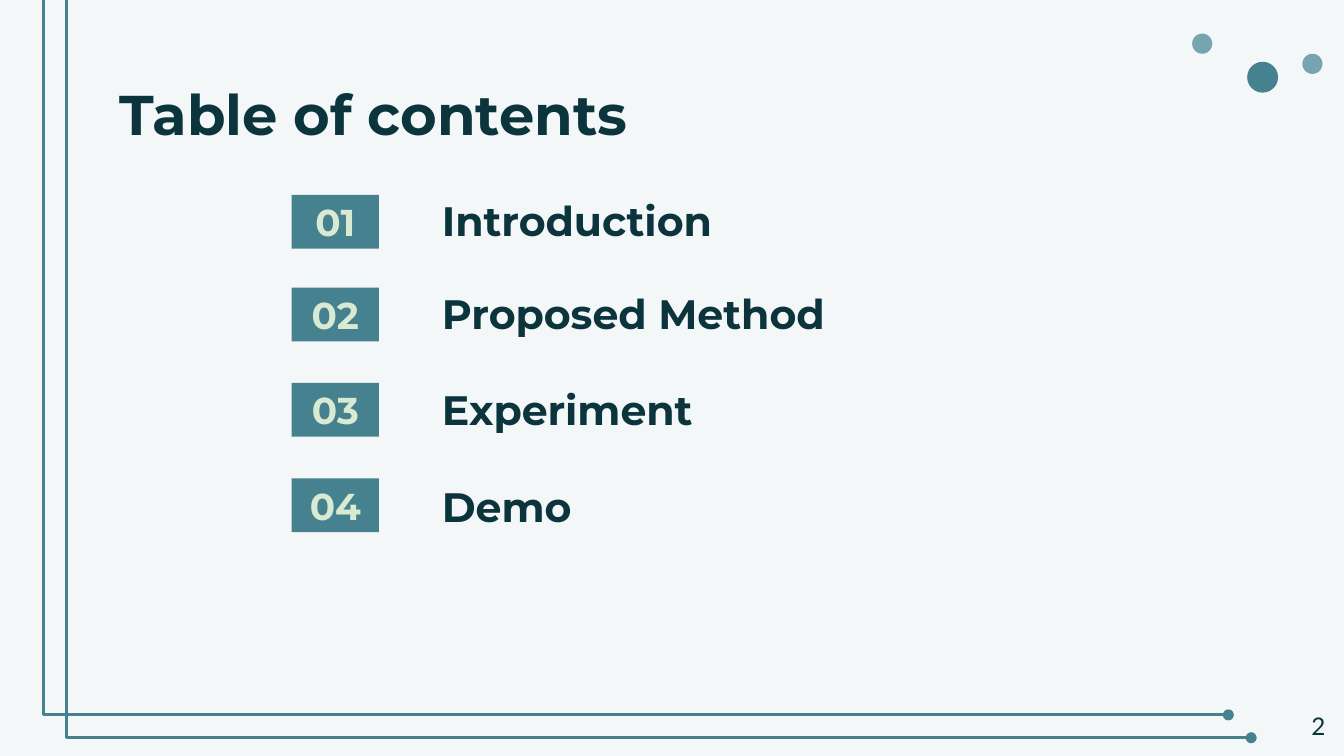
"""Build a table of contents slide with four numbered entries."""
from lxml import etree
from pptx import Presentation
from pptx.dml.color import RGBColor
from pptx.enum.shapes import MSO_CONNECTOR, MSO_SHAPE
from pptx.enum.text import MSO_ANCHOR, PP_ALIGN
from pptx.oxml.ns import qn
from pptx.util import Inches, Pt

RECT, OVAL = MSO_SHAPE.RECTANGLE, MSO_SHAPE.OVAL
ELBOW = MSO_CONNECTOR.ELBOW
TOP, MIDDLE, BOTTOM = MSO_ANCHOR.TOP, MSO_ANCHOR.MIDDLE, MSO_ANCHOR.BOTTOM
LEFT, CENTER, RIGHT = PP_ALIGN.LEFT, PP_ALIGN.CENTER, PP_ALIGN.RIGHT
COLORS = {"back": "F3F7F8", "teal": "45818E", "light": "76A5AF",
          "dark": "0C343D", "mint": "D9EAD3"}


def rgb(name):
    return RGBColor.from_string(COLORS[name])


def add_text(text, x, y, w, h, size=22, font="Montserrat", color="dark", bold=True,
             align=LEFT, anchor=TOP, spacing=1.0, fill=None):
    box = [Inches(v) for v in (x, y, w, h)]
    if fill:
        sp = s.shapes.add_shape(RECT, *box)
        sp.shadow.inherit = False
        sp.fill.solid()
        sp.fill.fore_color.rgb = rgb(fill)
        sp.line.fill.background()
    else:
        sp = s.shapes.add_textbox(*box)
    tf = sp.text_frame
    tf.word_wrap = True
    tf.vertical_anchor = anchor
    tf.margin_left = tf.margin_right = tf.margin_top = tf.margin_bottom = Inches(0.1)
    p = tf.paragraphs[0]
    p.alignment = align
    p.line_spacing = spacing
    r = p.add_run()
    r.text = text
    r.font.name = font
    r.font.size = Pt(size)
    r.font.bold = bold
    r.font.color.rgb = rgb(color)


prs = Presentation()
prs.slide_width = Inches(10)
prs.slide_height = Inches(10) * 9 // 16
s = prs.slides.add_slide(prs.slide_layouts[6])
s.background.fill.solid()
s.background.fill.fore_color.rgb = rgb("back")

for x, y, d, color in [(9.28, 0.46, 0.23, "teal"), (8.87, 0.25, 0.15, "light"),
                       (9.69, 0.4, 0.15, "light")]:
    dot = s.shapes.add_shape(OVAL, Inches(x), Inches(y), Inches(d), Inches(d))
    dot.shadow.inherit = False
    dot.fill.solid()
    dot.fill.fore_color.rgb = rgb(color)
    dot.line.fill.background()

for x, y in [(0.41, -0.24), (0.58, -0.07)]:
    cxn = s.shapes.add_connector(ELBOW, Inches(x), Inches(y),
                                 Inches(x + 8.73), Inches(y + 5.56))
    cxn.line.color.rgb = rgb("teal")
    cxn.line.width = Pt(1.5)
    spPr = cxn.element.spPr
    guides = spPr.find(qn("a:prstGeom")).find(qn("a:avLst"))
    etree.SubElement(guides, qn("a:gd"), name="adj1", fmla="val -1000")
    etree.SubElement(spPr.find(qn("a:ln")), qn("a:tailEnd"), type="oval")
    etree.SubElement(spPr, qn("a:effectLst"))

add_text("Table of contents", 0.79, 0.49, 8.43, 0.63, size=30)

entries = [("Introduction", 1.45, 1.49, 0.43), ("Proposed Method", 2.14, 2.14, 0.47),
           ("Experiment", 2.85, 2.93, 0.4), ("Demo", 3.56, 3.65, 0.4)]
for i, (entry, badge_y, y, h) in enumerate(entries, 1):
    add_text(f"{i:02}", 2.17, badge_y, 0.65, 0.4, size=20, color="mint",
             align=CENTER, anchor=MIDDLE, fill="teal")
    add_text(entry, 3.19, y, 4.64, h, anchor=BOTTOM, spacing=1.15)

add_text("2", 9.36, 5.19, 0.6, 0.43, size=13, font="Lato", bold=False, align=RIGHT)

prs.save("out.pptx")
